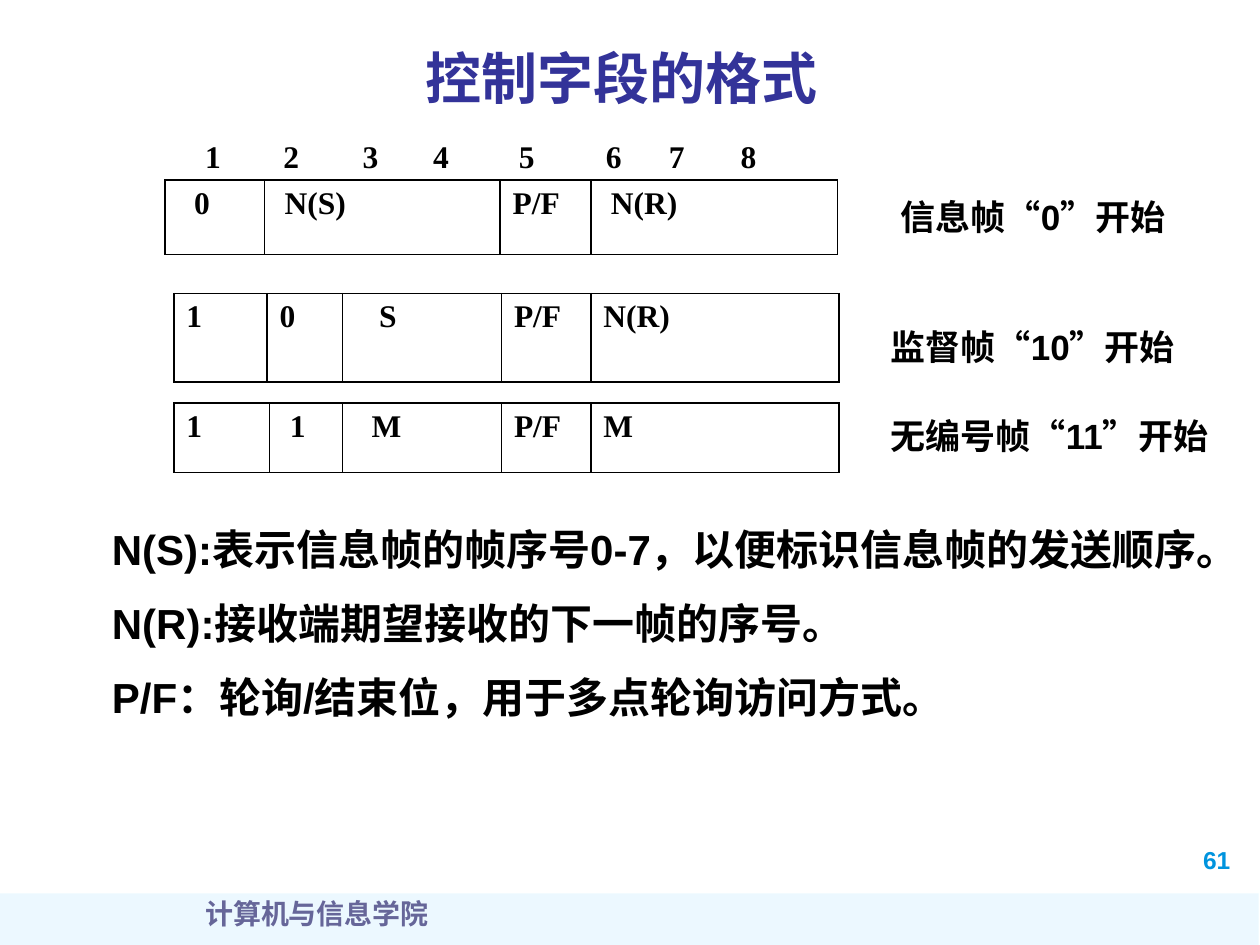
from lxml import etree
from pptx import Presentation
from pptx.dml.color import RGBColor
from pptx.enum import shapes, text
from pptx.oxml import parse_xml
from pptx.oxml.ns import nsdecls, qn
from pptx.util import Inches, Pt

BLACK = RGBColor(0x00, 0x00, 0x00)
NAVY = RGBColor(0x33, 0x33, 0x99)
SLATE = RGBColor(0x66, 0x66, 0x99)
BLUE = RGBColor(0x00, 0x94, 0xDE)
PALE_BLUE = RGBColor(0xA7, 0xE2, 0xFF)
SERIF, SANS = "Times New Roman", "Arial"

BIT_STOPS = (0.62, 1.25, 1.81, 2.49, 3.18, 3.68, 4.25)
FRAMES = (
    (1.31, 1.43, 0.59, (0.79, 1.87, 0.72, 1.96),
     (("0", 0.23), ("N(S)", 0.16), ("P/F", 0.1), ("N(R)", 0.16))),
    (1.38, 2.33, 0.7, (0.74, 0.6, 1.26, 0.71, 1.97),
     (("1", 0.1), ("0", 0.1), ("S", 0.29), ("P/F", 0.1), ("N(R)", 0.1))),
    (1.38, 3.2, 0.55, (0.76, 0.58, 1.26, 0.71, 1.97),
     (("1", 0.1), ("1", 0.16), ("M", 0.23), ("P/F", 0.1), ("M", 0.1))),
)
LABELS = (
    ("信息帧“0”开始", (7.05, 1.5, 2.32, 0.44)),
    ("监督帧“10”开始", (6.97, 2.53, 2.47, 0.44)),
    ("无编号帧“11”开始", (6.97, 3.24, 2.74, 0.44)),
)
NOTES = (
    "N(S):表示信息帧的帧序号0-7，以便标识信息帧的发送顺序。",
    "N(R):接收端期望接收的下一帧的序号。",
    "P/F：轮询/结束位，用于多点轮询访问方式。",
)


def style(paragraph, size, name=SANS, color=BLACK):
    """Set the bold font of a paragraph."""
    font = paragraph.font
    font.size, font.name, font.bold = Pt(size), name, True
    font.color.rgb = color


def add_text(slide, lines, box, size, name=SANS, color=BLACK,
             anchor=text.MSO_ANCHOR.MIDDLE):
    """Add a wrapping text box and return its paragraphs."""
    frame = slide.shapes.add_textbox(*map(Inches, box)).text_frame
    frame.word_wrap = True
    frame.vertical_anchor = anchor
    frame.text = "\n".join(lines)
    for paragraph in frame.paragraphs:
        style(paragraph, size, name, color)
    return frame.paragraphs


def add_title(slide, words):
    """Place the title and give its letters a soft shadow."""
    title = slide.shapes.title
    title.left, title.top, title.width, title.height = map(
        Inches, (1.06, 0.24, 7.75, 0.75))
    title.text_frame.text = words
    title.text_frame.vertical_anchor = text.MSO_ANCHOR.MIDDLE
    paragraph = title.text_frame.paragraphs[0]
    paragraph.alignment = text.PP_ALIGN.CENTER
    style(paragraph, 32, SERIF, NAVY)
    properties = paragraph.runs[0].font._element
    properties.append(parse_xml(
        f'<a:effectLst {nsdecls("a")}><a:outerShdw dist="25400" dir="2700000">'
        '<a:srgbClr val="C0C0C0"/></a:outerShdw></a:effectLst>'))


def add_footer(slide):
    """Add the translucent band, the school name and the page number."""
    band = slide.shapes.add_shape(
        shapes.MSO_SHAPE.RECTANGLE, *map(Inches, (-0.01, 7.09, 10, 0.44)))
    band.shadow.inherit = False
    band.line.fill.background()
    band.fill.solid()
    band.fill.fore_color.rgb = PALE_BLUE
    color = band._element.spPr.find(qn("a:solidFill"))[0]
    etree.SubElement(color, qn("a:alpha"), val="21000")
    top = text.MSO_ANCHOR.TOP
    add_text(slide, ["61"], (9.45, 6.66, 0.59, 0.33), 14, SANS, BLUE, top)
    school = add_text(slide, ["计算机与信息学院"], (0.27, 7.07, 4.49, 0.5),
                      16, SERIF, SLATE, top)
    school[0].alignment = text.PP_ALIGN.CENTER


def add_bit_ruler(slide):
    """Number the eight bits with tab stops."""
    digits = "\t".join(str(bit) for bit in range(1, 9))
    paragraph = add_text(slide, [digits], (1.53, 1.04, 5.2, 0.4), 18, SERIF)[0]
    properties = paragraph._p.get_or_add_pPr()
    stops = etree.Element(qn("a:tabLst"))
    for stop in BIT_STOPS:
        etree.SubElement(stops, qn("a:tab"), pos=str(Inches(stop)), algn="l")
    properties.insert(0, stops)


def add_frame_table(slide, left, top, height, widths, fields):
    """Add a one-row table of control fields."""
    table = slide.shapes.add_table(
        1, len(widths), Inches(left), Inches(top),
        Inches(sum(widths)), Inches(height)).table
    table.first_row = table.horz_banding = False
    table.rows[0].height = Inches(height)
    for index, (words, margin) in enumerate(fields):
        table.columns[index].width = Inches(widths[index])
        cell = table.cell(0, index)
        cell.text = words
        cell.margin_left = Inches(margin)
        style(cell.text_frame.paragraphs[0], 18, SERIF)
        properties = cell._tc.get_or_add_tcPr()
        for side in "LRTB":
            properties.append(parse_xml(
                f'<a:ln{side} {nsdecls("a")} w="12700"><a:solidFill>'
                f'<a:srgbClr val="{BLACK}"/></a:solidFill></a:ln{side}>'))
        cell.fill.background()


def add_notes(slide):
    """Explain the fields in indented paragraphs."""
    paragraphs = add_text(slide, NOTES, (0.48, 3.97, 9.32, 1.82), 24)
    for index, paragraph in enumerate(paragraphs):
        paragraph.line_spacing = 1.3
        if index:
            paragraph.space_before = Pt(5)
        paragraph._p.get_or_add_pPr().set("indent", str(Inches(0.31)))


def main():
    """Build and save the slide."""
    presentation = Presentation()
    presentation.slide_width, presentation.slide_height = Inches(10), Inches(7.5)
    slide = presentation.slides.add_slide(presentation.slide_layouts[5])
    add_footer(slide)
    add_title(slide, "控制字段的格式")
    for frame in FRAMES:
        add_frame_table(slide, *frame)
    add_bit_ruler(slide)
    for words, box in LABELS:
        add_text(slide, [words], box, 20)
    add_notes(slide)
    presentation.save("out.pptx")


if __name__ == "__main__":
    main()
